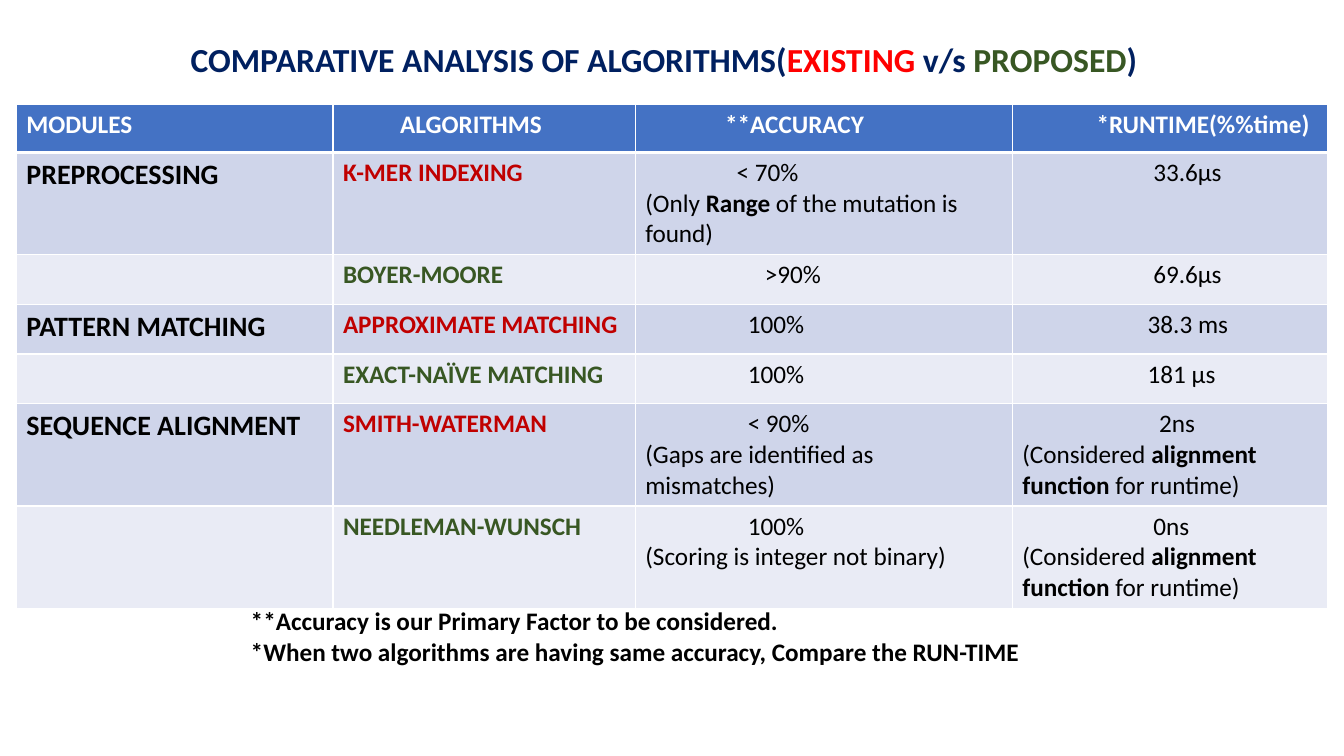
"""Build a slide comparing existing and proposed algorithms in a table."""
import dataclasses

import lxml.etree
import pptx
import pptx.dml.color
import pptx.enum.text
import pptx.oxml.ns
import pptx.util

Cm = pptx.util.Cm


@dataclasses.dataclass(frozen=True)
class Theme:
    font: str = "Calibri"
    title_size: int = 24
    module_size: int = 20
    body_size: int = 18
    navy: str = "002060"
    red: str = "FF0000"
    existing: str = "C00000"
    proposed: str = "385723"
    black: str = "000000"
    white: str = "FFFFFF"
    header_fill: str = "4472C4"
    bands: tuple = ("CFD5EA", "E9EBF5")
    thin: int = 1
    thick: int = 3


THEME = Theme()

TITLE = [
    ("COMPARATIVE ANALYSIS OF ALGORITHMS(", THEME.navy),
    ("EXISTING", THEME.red),
    (" v/s ", THEME.navy),
    ("PROPOSED", THEME.proposed),
    (")", THEME.navy),
]
HEADERS = [("MODULES", 0), ("ALGORITHMS", 1.44), ("**ACCURACY", 2.01), ("*RUNTIME(%%time)", 1.87)]
RUNTIME_NOTE = [("(Considered ", False), ("alignment function ", True), ("for runtime)", False)]
RANGE_NOTE = [("(Only ", False), ("Range", True), (" of the mutation is found)", False)]
GAPS_NOTE = [("(Gaps are identified as mismatches)", False)]
SCORING_NOTE = [("(Scoring is integer not binary)", False)]
ROWS = [
    ("PREPROCESSING", "K-MER INDEXING", ("< 70%", 2.3, RANGE_NOTE), ("33.6µs", 3.3, None)),
    ("", "BOYER-MOORE", (">90%", 3.01, None), ("69.6µs", 3.3, None)),
    ("PATTERN MATCHING", "APPROXIMATE MATCHING", ("100%", 2.58, None), ("38.3 ms", 3.16, None)),
    ("", "EXACT-NAÏVE MATCHING", ("100%", 2.58, None), ("181 µs", 3.16, None)),
    ("SEQUENCE ALIGNMENT", "SMITH-WATERMAN", ("< 90%", 2.58, GAPS_NOTE), ("2ns", 3.45, RUNTIME_NOTE)),
    ("", "NEEDLEMAN-WUNSCH", ("100%", 2.58, SCORING_NOTE), ("0ns", 3.3, RUNTIME_NOTE)),
]
FOOTNOTES = [
    "**Accuracy is our Primary Factor to be considered.",
    "*When two algorithms are having same accuracy, Compare the RUN-TIME",
]

TITLE_BOX = (4.55, 0.86, 24.94, 1.28)
TABLE_BOX = (0.41, 2.62, 33.05, 12.2)
FOOTNOTE_BOX = (6.07, 15.14, 20.02, 1.8)
COLUMN_WIDTHS = (7.98, 7.62, 9.5, 7.95)
HEADER_HEIGHT, LINE_HEIGHT, NOTE_HEIGHT = 1.22, 1.25, 2.42


def rgb(color):
    """Return the colour object for a hexadecimal value."""
    return pptx.dml.color.RGBColor.from_string(color)


def format_run(run, size, color, bold):
    """Apply the type style to one run."""
    run.font.name = THEME.font
    run.font.size = pptx.util.Pt(size)
    run.font.color.rgb = rgb(color)
    run.font.bold = bold


def write_line(paragraph, text, size, color, bold, indent=0):
    """Write a paragraph in a single style with an optional left indent."""
    paragraph.text = text
    if indent:
        paragraph._p.get_or_add_pPr().set("marL", str(Cm(indent)))
    for run in paragraph.runs:
        format_run(run, size, color, bold)


def style_cell(cell, fill, top, bottom):
    """Fill a cell and draw its white borders."""
    cell.fill.solid()
    cell.fill.fore_color.rgb = rgb(fill)
    properties = cell._tc.get_or_add_tcPr()
    widths = {"lnL": THEME.thin, "lnR": THEME.thin, "lnT": top, "lnB": bottom}
    for position, (side, width) in enumerate(widths.items()):
        line = lxml.etree.Element(pptx.oxml.ns.qn("a:" + side), w=str(pptx.util.Pt(width)))
        solid = lxml.etree.SubElement(line, pptx.oxml.ns.qn("a:solidFill"))
        lxml.etree.SubElement(solid, pptx.oxml.ns.qn("a:srgbClr"), val=THEME.white)
        properties.insert(position, line)


def write_measure(cell, measure):
    """Write a measured value and the note below it."""
    value, indent, note = measure
    text_frame = cell.text_frame
    write_line(text_frame.paragraphs[0], value, THEME.body_size, THEME.black, False, indent)
    if note:
        paragraph = text_frame.add_paragraph()
        for text, bold in note:
            run = paragraph.add_run()
            run.text = text
            format_run(run, THEME.body_size, THEME.black, bold)


def add_title(slide):
    """Place the multicoloured title."""
    title = slide.shapes.title
    title.left, title.top, title.width, title.height = map(Cm, TITLE_BOX)
    text_frame = title.text_frame
    text_frame.word_wrap = True
    text_frame.auto_size = pptx.enum.text.MSO_AUTO_SIZE.NONE
    text_frame.vertical_anchor = pptx.enum.text.MSO_ANCHOR.TOP
    paragraph = text_frame.paragraphs[0]
    paragraph.alignment = pptx.enum.text.PP_ALIGN.LEFT
    for text, color in TITLE:
        run = paragraph.add_run()
        run.text = text
        format_run(run, THEME.title_size, color, True)


def add_comparison(slide):
    """Add the table of modules, algorithms and measures."""
    frame = slide.shapes.add_table(len(ROWS) + 1, len(HEADERS), *map(Cm, TABLE_BOX))
    table = frame.table
    for column, width in zip(table.columns, COLUMN_WIDTHS):
        column.width = Cm(width)
    table.rows[0].height = Cm(HEADER_HEIGHT)
    for index, (text, indent) in enumerate(HEADERS):
        cell = table.cell(0, index)
        style_cell(cell, THEME.header_fill, THEME.thin, THEME.thick)
        write_line(cell.text_frame.paragraphs[0], text, THEME.body_size, THEME.white, True, indent)
    for index, (module, algorithm, accuracy, runtime) in enumerate(ROWS):
        row = table.rows[index + 1]
        row.height = Cm(NOTE_HEIGHT if accuracy[2] else LINE_HEIGHT)
        for cell in row.cells:
            top = THEME.thin if index else THEME.thick
            style_cell(cell, THEME.bands[index % 2], top, THEME.thin)
        module_cell, algorithm_cell, accuracy_cell, runtime_cell = row.cells
        color = (THEME.existing, THEME.proposed)[index % 2]
        if module:
            write_line(module_cell.text_frame.paragraphs[0], module, THEME.module_size, THEME.black, True)
        write_line(algorithm_cell.text_frame.paragraphs[0], algorithm, THEME.body_size, color, True)
        write_measure(accuracy_cell, accuracy)
        write_measure(runtime_cell, runtime)


def add_footnotes(slide):
    """Add the two reading notes below the table."""
    text_frame = slide.shapes.add_textbox(*map(Cm, FOOTNOTE_BOX)).text_frame
    text_frame.word_wrap = True
    text_frame.text = "\n".join(FOOTNOTES)
    for paragraph in text_frame.paragraphs:
        for run in paragraph.runs:
            format_run(run, THEME.body_size, THEME.black, True)


def main():
    """Create and save the presentation."""
    presentation = pptx.Presentation()
    presentation.slide_width = Cm(33.87)
    presentation.slide_height = Cm(19.05)
    slide = presentation.slides.add_slide(presentation.slide_layouts[5])
    add_comparison(slide)
    add_title(slide)
    add_footnotes(slide)
    presentation.save("out.pptx")


if __name__ == "__main__":
    main()
